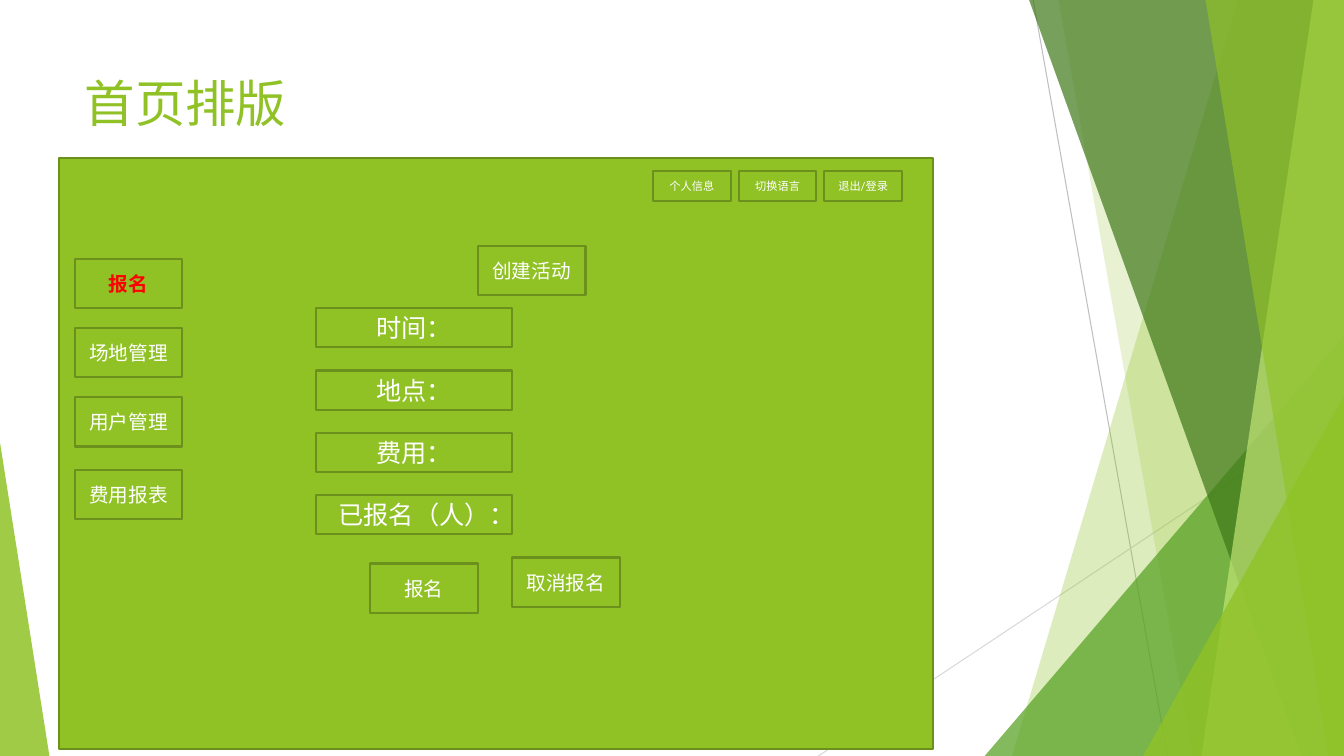
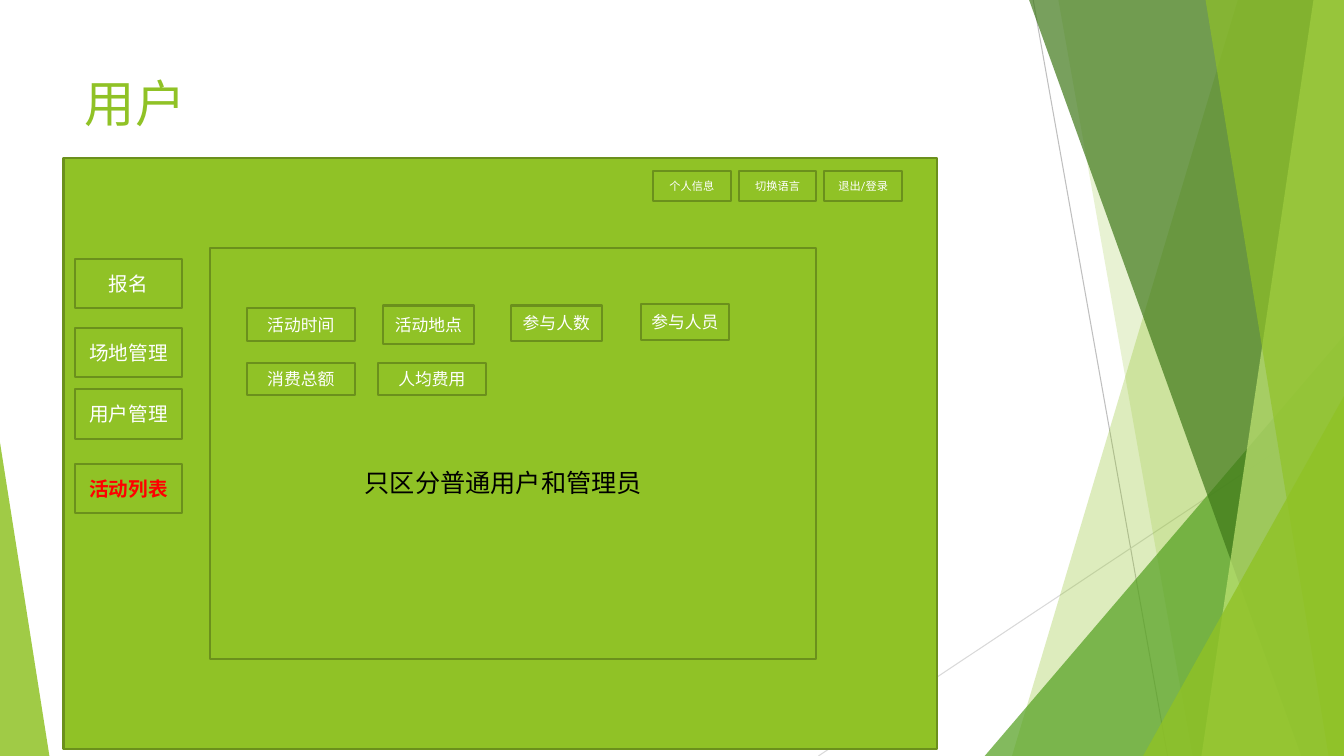
import pptx
import pptx.dml.color
import pptx.enum.shapes
import pptx.enum.text
import pptx.oxml
import pptx.oxml.ns
import pptx.util

Pt = pptx.util.Pt
RGBColor = pptx.dml.color.RGBColor
MSO_SHAPE = pptx.enum.shapes.MSO_SHAPE
PP_ALIGN = pptx.enum.text.PP_ALIGN
MSO_ANCHOR = pptx.enum.text.MSO_ANCHOR
MSO_AUTO_SIZE = pptx.enum.text.MSO_AUTO_SIZE

GREEN = RGBColor(0x90, 0xC2, 0x26)
MID_GREEN = RGBColor(0x54, 0xA0, 0x21)
DARK_GREEN = RGBColor(0x3F, 0x78, 0x19)
PALE_GREEN = RGBColor(0xC0, 0xE4, 0x74)
OUTLINE = RGBColor(0x6B, 0x90, 0x1C)
GREY = RGBColor(0xBF, 0xBF, 0xBF)
LIGHT_GREY = RGBColor(0xD9, 0xD9, 0xD9)
WHITE = RGBColor(0xFF, 0xFF, 0xFF)
BLACK = RGBColor(0, 0, 0)
RED = RGBColor(0xFF, 0, 0)

FONT = "Roboto"
WIDTH, HEIGHT = 960, 540
TITLE_BOX = (53.3, 48.2, 676.8, 64.8)
BUTTON_W, BUTTON_H = 77, 35.3
MENU_X = 53.3
TOP_BUTTONS = ("个人信息", "切换语言", "退出/登录")


def set_attrs(obj, **values):
    """Set each named attribute of an object."""
    for name, value in values.items():
        setattr(obj, name, value)


def place(sp, box):
    """Move and size a shape to a box given in points."""
    names = ("left", "top", "width", "height")
    set_attrs(sp, **dict(zip(names, map(Pt, box))))


def write(tf, text, size, color, align, bold=False):
    """Put one formatted run into a text frame."""
    p = tf.paragraphs[0]
    p.alignment = align
    r = p.add_run()
    r.text = text
    set_attrs(r.font, name=FONT, size=Pt(size), bold=bold)
    r.font.color.rgb = color


def add_box(sl, box, text="", size=14, active=False):
    """Add an outlined green rectangle with centred text."""
    sp = sl.shapes.add_shape(MSO_SHAPE.RECTANGLE, *map(Pt, box))
    sp.shadow.inherit = False
    sp.fill.solid()
    sp.fill.fore_color.rgb = GREEN
    sp.line.color.rgb = OUTLINE
    sp.line.width = Pt(1.5)
    if text:
        sp.text_frame.vertical_anchor = MSO_ANCHOR.MIDDLE
        color = RED if active else WHITE
        write(sp.text_frame, text, size, color, PP_ALIGN.CENTER, active)


def add_button(sl, x, y, text, active=False):
    """Add a standard-size button."""
    add_box(sl, (x, y, BUTTON_W, BUTTON_H), text, active=active)


def add_note(sl, box, text):
    """Add a line of plain black text."""
    sp = sl.shapes.add_textbox(*map(Pt, box))
    set_attrs(sp.text_frame, word_wrap=False,
              auto_size=MSO_AUTO_SIZE.SHAPE_TO_FIT_TEXT)
    write(sp.text_frame, text, 18, BLACK, PP_ALIGN.LEFT)


def tint(sp, color, percent):
    """Fill a shape with a see-through colour and no outline."""
    sp.shadow.inherit = False
    sp.line.fill.background()
    sp.fill.solid()
    sp.fill.fore_color.rgb = color
    clr = sp.element.spPr.find(".//" + pptx.oxml.ns.qn("a:srgbClr"))
    alpha = pptx.oxml.parse_xml(
        f'<a:alpha {pptx.oxml.ns.nsdecls("a")} val="{percent * 1000}"/>')
    clr.append(alpha)
    return sp


def add_hairline(sl, ends, color):
    """Add a thin straight line."""
    kind = pptx.enum.shapes.MSO_CONNECTOR.STRAIGHT
    sp = sl.shapes.add_connector(kind, *map(Pt, ends))
    sp.line.color.rgb = color
    sp.line.width = Pt(0.75)
    sp.element.spPr.append(pptx.oxml.parse_xml(
        f'<a:effectLst {pptx.oxml.ns.nsdecls("a")}/>'))
    return sp


def add_band(sl, top_x, bottom_x, color, percent):
    """Add a full-height band from a slanted edge to the right side."""
    corners = [(WIDTH, 0), (WIDTH, HEIGHT), (bottom_x, HEIGHT)]
    fb = sl.shapes.build_freeform(Pt(top_x), Pt(0))
    fb.add_line_segments([(Pt(x), Pt(y)) for x, y in corners], close=True)
    return tint(fb.convert_to_shape(), color, percent)


def add_corner(sl, box, apex, color, percent):
    """Add a right triangle with its apex at the left (0) or right (1)."""
    sp = sl.shapes.add_shape(MSO_SHAPE.ISOSCELES_TRIANGLE, *map(Pt, box))
    sp.adjustments[0] = apex
    return tint(sp, color, percent)


def add_backdrop(sl):
    """Draw the facets and move them to the layout that slides share."""
    facets = [
        add_hairline(sl, (738, 0, 834, HEIGHT), GREY),
        add_hairline(sl, (WIDTH, 290.2, 584.6, HEIGHT), LIGHT_GREY),
        add_band(sl, 884.2, 722.9, GREEN, 30),
        add_band(sl, 756, 851.8, GREEN, 20),
        add_corner(sl, (703.4, 239.8, 256.6, 300.2), 1, MID_GREEN, 72),
        add_band(sl, 735.1, 929.5, DARK_GREEN, 70),
        add_band(sl, 938.2, 858.2, PALE_GREEN, 70),
        add_band(sl, 861.1, 949, GREEN, 65),
        add_corner(sl, (816.5, 283, 143.5, 257), 1, GREEN, 80),
        add_corner(sl, (0, 316.1, 35.3, 223.9), 0, GREEN, 85),
    ]
    tree = sl.slide_layout.shapes.element
    for i, sp in enumerate(facets):
        sp.element.xpath(".//p:cNvPr")[0].set("id", str(100 + i))
        tree.insert(2 + i, sp.element)


def add_page(prs, title, panel_x, menu):
    """Add a slide with its title, panel, top buttons and side menu."""
    sl = prs.slides.add_slide(prs.slide_layouts[5])
    sp = sl.shapes.title
    place(sp, TITLE_BOX)
    set_attrs(sp.text_frame, vertical_anchor=MSO_ANCHOR.TOP,
              word_wrap=True, auto_size=MSO_AUTO_SIZE.NONE)
    write(sp.text_frame, title, 36, GREEN, PP_ALIGN.LEFT)
    add_box(sl, (panel_x, 113, 624.2, 422))
    for i, text in enumerate(TOP_BUTTONS):
        add_box(sl, (466.5 + 61.2 * i, 122.4, 55.5, 20.9), text, 8)
    for y, text, active in menu:
        add_button(sl, MENU_X, y, text, active)
    return sl


def build_home(prs):
    """Build the home page with the sign-up form."""
    menu = [(185, "报名", True), (234, "场地管理", False),
            (283.7, "用户管理", False), (335.5, "费用报表", False)]
    sl = add_page(prs, "首页排版", 42.5, menu)
    fields = ("时间：", "地点：", "费用：", "已报名（人）：")
    for i, text in enumerate(fields):
        add_box(sl, (226, 220.2 + 44.5 * i, 139.7, 28), text, 18)
    add_button(sl, 341.3, 175.7, "创建活动")
    add_button(sl, 264.2, 402.5, "报名")
    add_button(sl, 365.8, 398.2, "取消报名")
    return sl


def build_users(prs):
    """Build the user page with the activity list."""
    menu = [(185, "报名", False), (234, "场地管理", False),
            (278, "用户管理", False), (331.2, "活动列表", True)]
    sl = add_page(prs, "用户", 45.4, menu)
    add_box(sl, (149.8, 177.1, 433.4, 293.8))
    columns = [
        ((176.4, 220.3, 77, 23), "活动时间"),
        ((273.6, 218.2, 64.8, 27.4), "活动地点"),
        ((365, 218.2, 64.8, 25.2), "参与人数"),
        ((457.9, 217.4, 62.6, 25.2), "参与人员"),
        ((176.4, 259.2, 77, 23), "消费总额"),
        ((270, 259.2, 77, 23), "人均费用"),
    ]
    for box, text in columns:
        add_box(sl, box, text, 12)
    add_note(sl, (253.4, 330.5, 214.6, 28.8), "只区分普通用户和管理员")


def main():
    """Build and save the presentation."""
    prs = pptx.Presentation()
    set_attrs(prs, slide_width=Pt(WIDTH), slide_height=Pt(HEIGHT))
    add_backdrop(build_home(prs))
    build_users(prs)
    prs.save("out.pptx")


main()
